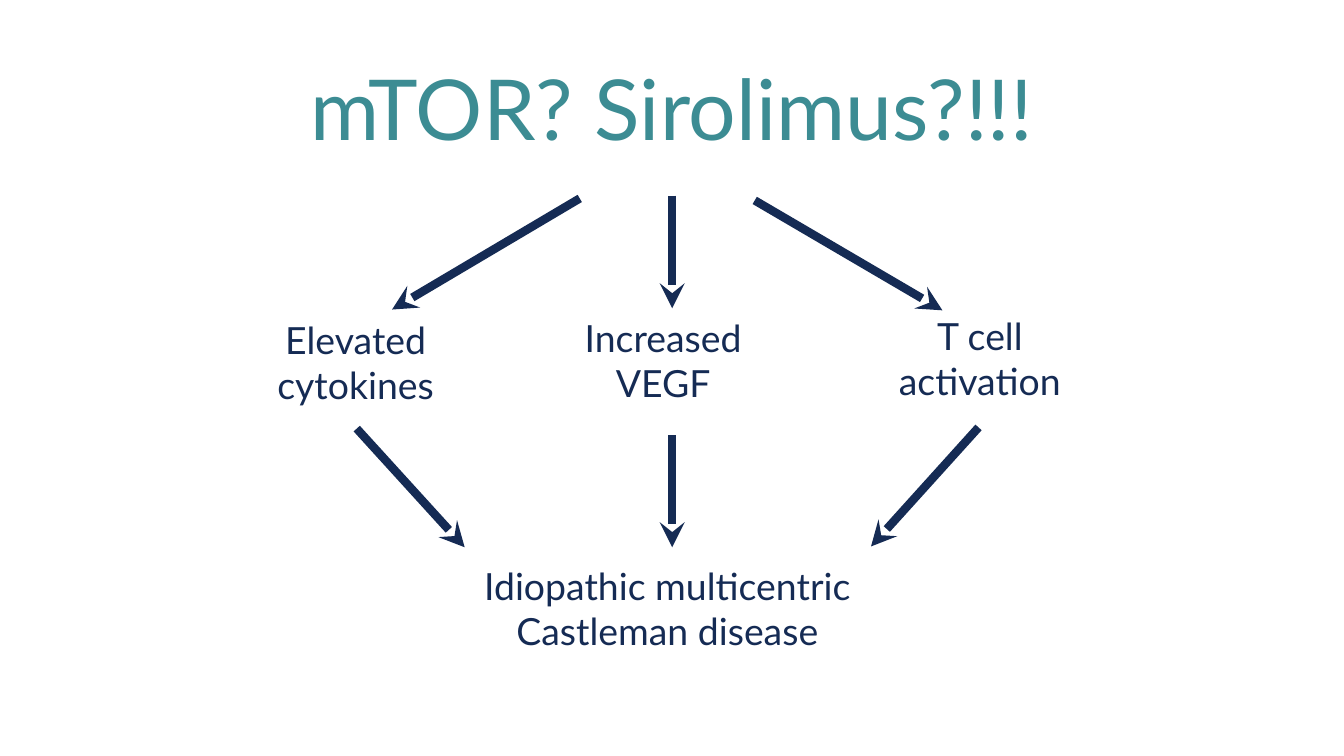
from typing import NamedTuple

from lxml.etree import SubElement
from pptx import Presentation
from pptx.dml.color import RGBColor
from pptx.enum.shapes import MSO_CONNECTOR
from pptx.enum.text import MSO_ANCHOR, MSO_AUTO_SIZE, PP_ALIGN
from pptx.oxml.ns import qn
from pptx.util import Cm, Pt

NAVY = RGBColor(0x15, 0x2B, 0x54)
TEAL = RGBColor(0x3C, 0x8C, 0x93)
FONT = "Lato"
LABEL_HEIGHT = 2.54


class Label(NamedTuple):
    text: str
    left: float
    top: float
    width: float


class Arrow(NamedTuple):
    x1: float
    y1: float
    x2: float
    y2: float


LABELS = [
    Label("Elevated cytokines", 6.22, 7.87, 5.49),
    Label("Increased VEGF", 14.2, 7.82, 5.03),
    Label("T cell\nactivation", 21.95, 7.77, 5.49),
    Label("Idiopathic multicentric Castleman disease", 10.64, 14.07, 12.37),
]
ARROWS = [
    Arrow(14.61, 5, 9.88, 7.8),
    Arrow(16.94, 4.93, 16.94, 7.77),
    Arrow(19.02, 5.05, 23.75, 7.82),
    Arrow(8.99, 10.8, 11.71, 13.79),
    Arrow(16.94, 10.97, 16.94, 13.79),
    Arrow(24.66, 10.77, 21.95, 13.77),
]


def write_text(sp, text: str, size: float, color: RGBColor, wrap: bool) -> None:
    tf = sp.text_frame
    tf.text = text
    tf.word_wrap = wrap
    tf.auto_size = MSO_AUTO_SIZE.SHAPE_TO_FIT_TEXT
    tf.vertical_anchor = MSO_ANCHOR.TOP
    for p in tf.paragraphs:
        p.alignment = PP_ALIGN.CENTER
        p.font.name = FONT
        p.font.size = Pt(size)
        p.font.color.rgb = color


def add_title(s, text: str) -> None:
    sp = s.shapes.title
    sp.left, sp.top, sp.width, sp.height = Cm(7.06), Cm(1.3), Cm(19.74), Cm(2.82)
    write_text(sp, text, 60, TEAL, wrap=False)


def add_label(s, label: Label) -> None:
    sp = s.shapes.add_textbox(
        Cm(label.left), Cm(label.top), Cm(label.width), Cm(LABEL_HEIGHT))
    write_text(sp, label.text, 26.7, NAVY, wrap=True)


def add_arrow(s, arrow: Arrow) -> None:
    line = s.shapes.add_connector(MSO_CONNECTOR.STRAIGHT, *map(Cm, arrow))
    line.line.color.rgb = NAVY
    line.line.width = Pt(6)
    SubElement(line.line._get_or_add_ln(), qn("a:tailEnd"), type="stealth")
    SubElement(line._element.spPr, qn("a:effectLst"))


def main() -> None:
    prs = Presentation()
    prs.slide_width, prs.slide_height = Cm(33.87), Cm(19.05)
    s = prs.slides.add_slide(prs.slide_layouts[5])
    add_title(s, "mTOR? Sirolimus?!!!")
    for label in LABELS:
        add_label(s, label)
    for arrow in ARROWS:
        add_arrow(s, arrow)
    prs.save("out.pptx")


if __name__ == "__main__":
    main()
